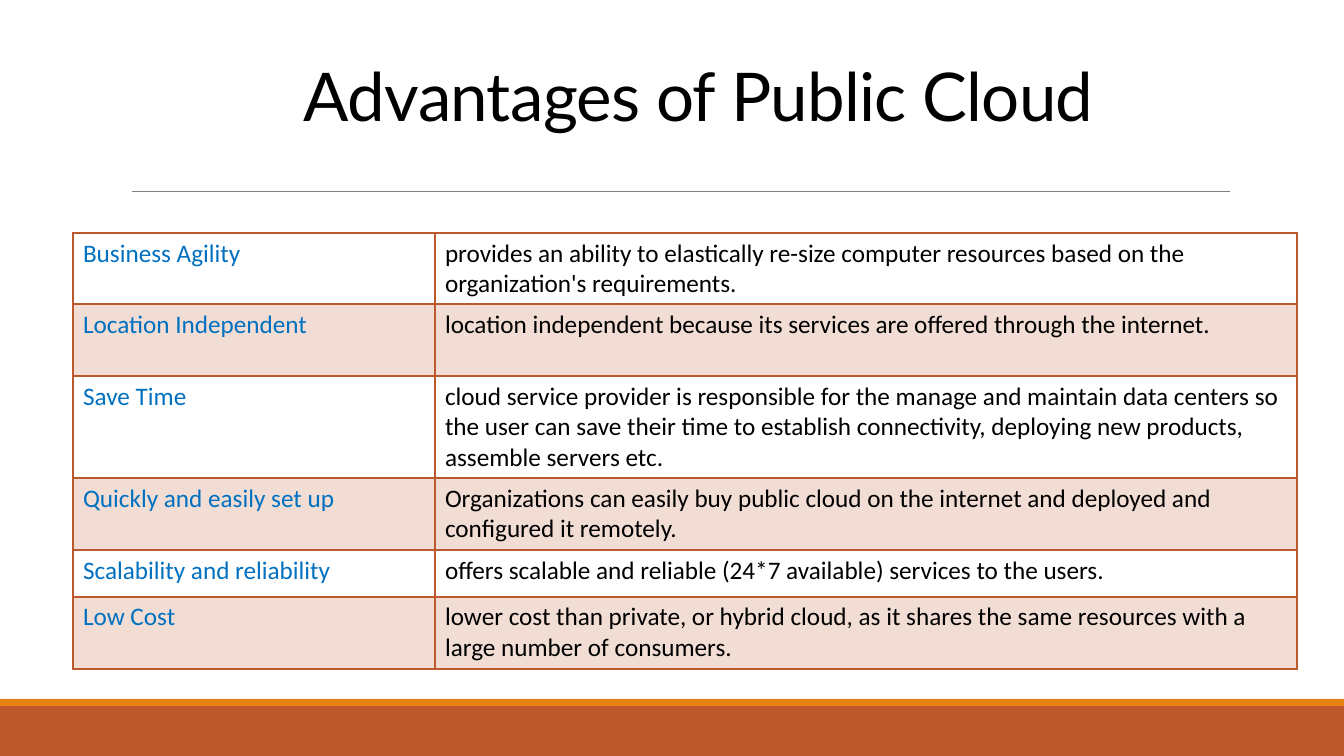
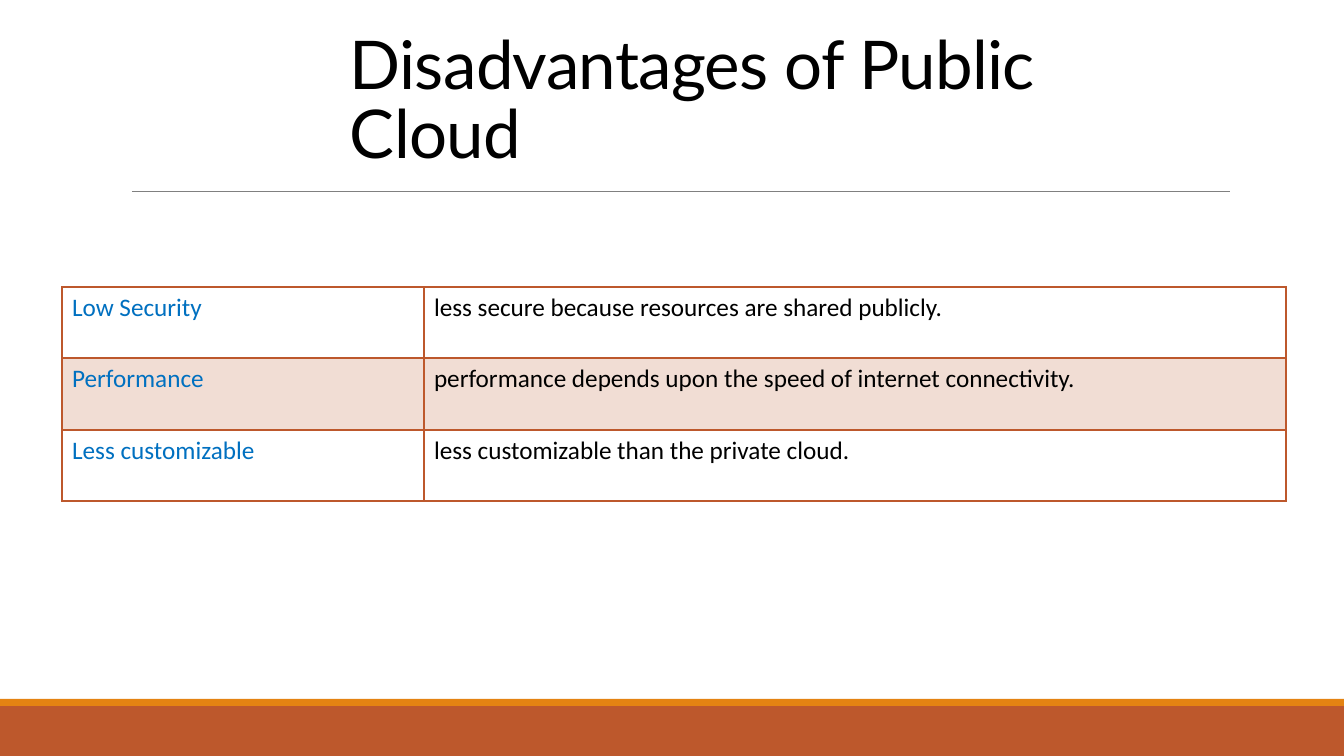
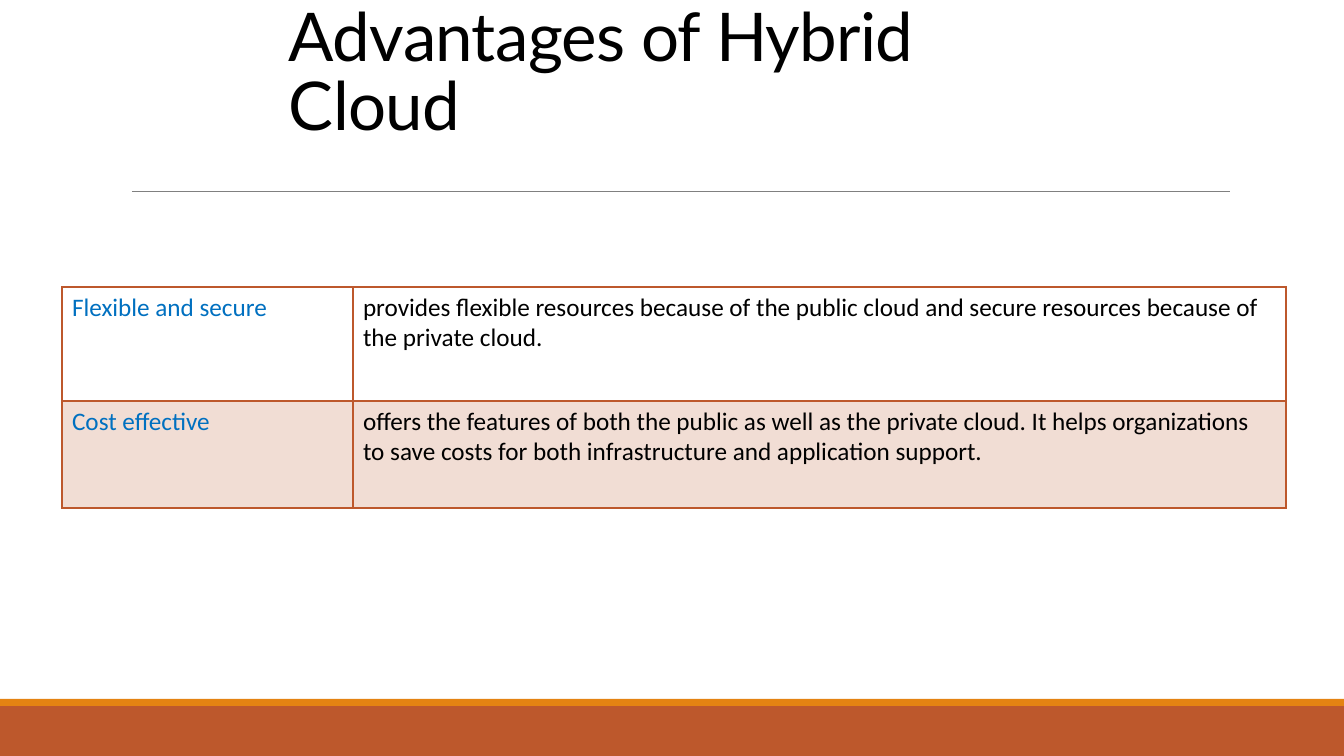
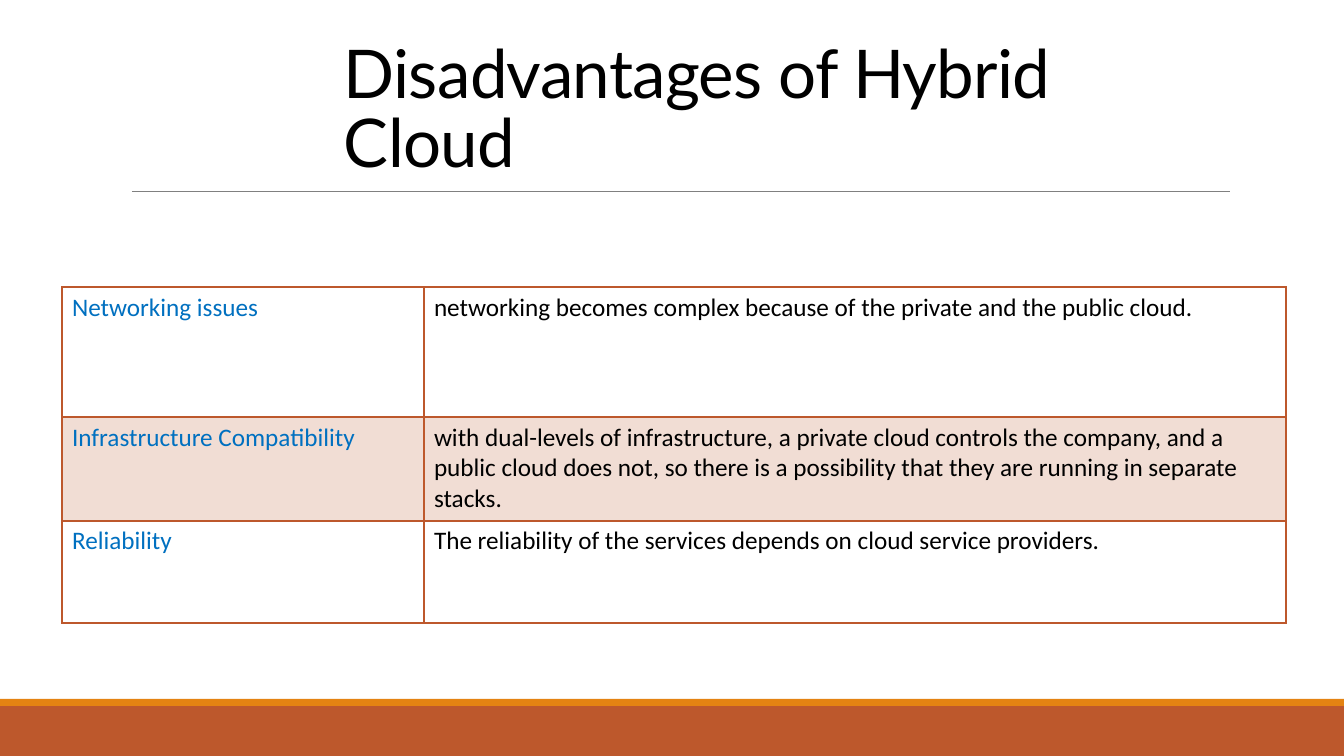
"""Build four slides on the advantages and disadvantages of public and hybrid clouds."""
import pptx
import pptx.dml.color
import pptx.enum.shapes
import pptx.enum.text
import pptx.oxml
import pptx.oxml.ns
import pptx.util
from lxml import etree

PX = 914400 / 100.8
WIDTH, HEIGHT = 1344, 756
COLORS = {
    "rust": "BD582C",
    "orange": "E48312",
    "rule": "808080",
    "term": "0070C0",
    "text": "000000",
}
TITLE_FONT, TABLE_FONT = "Lato", "Calibri"
BANDS = [("rust", 706, 50), ("orange", 699, 7)]
RULE = (132, 1230, 191)

SLIDES = [
    {
        "title": "Advantages of Public Cloud",
        "title_box": (294, 41, 907, 99),
        "table_at": (73, 233),
        "columns": (362, 862),
        "rows": [
            (71, "Business Agility", "provides an ability to elastically re-size computer resources based on the organization's requirements."),
            (72, "Location Independent", "location independent because its services are offered through the internet."),
            (102, "Save Time", "cloud service provider is responsible for the manage and maintain data centers so the user can save their time to establish connectivity, deploying new products, assemble servers etc."),
            (72, "Quickly and easily set up", "Organizations can easily buy public cloud on the internet and deployed and configured it remotely."),
            (47, "Scalability and reliability", "offers scalable and reliable (24*7 available) services to the users."),
            (72, "Low Cost", "lower cost than private, or hybrid cloud, as it shares the same resources with a large number of consumers."),
        ],
    },
    {
        "title": "Disadvantages of Public Cloud",
        "title_box": (340, 17, 766, 160),
        "table_at": (62, 287),
        "columns": (362, 862),
        "rows": [
            (71, "Low Security", "less secure because resources are shared publicly."),
            (72, "Performance", "performance depends upon the speed of internet connectivity."),
            (71, "Less customizable", "less customizable than the private cloud."),
        ],
    },
    {
        "title": "Advantages of Hybrid Cloud",
        "title_box": (279, 60, 775, 89),
        "table_at": (62, 287),
        "columns": (291, 933),
        "rows": [
            (114, "Flexible and secure", "provides flexible resources because of the public cloud and secure resources because of the private cloud."),
            (107, "Cost effective", "offers the features of both the public as well as the private cloud. It helps organizations to save costs for both infrastructure and application support."),
        ],
    },
    {
        "title": "Disadvantages of Hybrid Cloud",
        "title_box": (334, 26, 786, 160),
        "table_at": (62, 287),
        "columns": (362, 862),
        "rows": [
            (130, "Networking issues", "networking becomes complex because of the private and the public cloud."),
            (104, "Infrastructure Compatibility", "with dual-levels of infrastructure, a private cloud controls the company, and a public cloud does not, so there is a possibility that they are running in separate stacks."),
            (102, "Reliability", "The reliability of the services depends on cloud service providers."),
        ],
    },
]


def emu(*lengths):
    return [round(length * PX) for length in lengths]


def rgb(name):
    return pptx.dml.color.RGBColor.from_string(COLORS[name])


def add_run(paragraph, text, font, size, color):
    run = paragraph.add_run()
    run.text = text
    run.font.name = font
    run.font.size = pptx.util.Pt(size)
    run.font.color.rgb = rgb(color)
    return run


def add_frame(slide):
    for color, top, height in BANDS:
        band = slide.shapes.add_shape(
            pptx.enum.shapes.MSO_SHAPE.RECTANGLE, *emu(0, top, WIDTH, height)
        )
        band.shadow.inherit = False
        band.fill.solid()
        band.fill.fore_color.rgb = rgb(color)
        band.line.fill.background()
    left, right, y = RULE
    rule = slide.shapes.add_connector(
        pptx.enum.shapes.MSO_CONNECTOR.STRAIGHT, *emu(left, y, right, y)
    )
    rule.line.color.rgb = rgb("rule")
    rule.line.width = pptx.util.Pt(0.5)
    etree.SubElement(rule._element.spPr, pptx.oxml.ns.qn("a:effectLst"))


def add_title(slide, text, box):
    frame = slide.shapes.add_textbox(*emu(*box)).text_frame
    frame.word_wrap = True
    frame.vertical_anchor = pptx.enum.text.MSO_ANCHOR.BOTTOM
    paragraph = frame.paragraphs[0]
    paragraph.line_spacing = 0.85
    run = add_run(paragraph, text, TITLE_FONT, 48, "text")
    run._r.get_or_add_rPr().set("spc", "-50")


def set_borders(cell, row_index):
    properties = cell._tc.get_or_add_tcPr()
    widths = {"L": 1, "R": 1, "T": 2 if row_index == 1 else 1, "B": 2 if row_index == 0 else 1}
    for side, points in widths.items():
        properties.append(pptx.oxml.parse_xml(
            f'<a:ln{side} {pptx.oxml.ns.nsdecls("a")} w="{pptx.util.Pt(points)}">'
            f'<a:solidFill><a:srgbClr val="{COLORS["rust"]}"/></a:solidFill></a:ln{side}>'
        ))


def set_fill(cell, row_index):
    if row_index % 2 == 0:
        cell.fill.background()
        return
    cell.fill.solid()
    cell.fill.fore_color.rgb = rgb("rust")
    color = cell._tc.tcPr.find("a:solidFill/a:srgbClr", pptx.oxml.ns._nsmap)
    etree.SubElement(color, pptx.oxml.ns.qn("a:alpha")).set("val", "20000")


def add_terms(slide, at, columns, rows):
    size = sum(columns), sum(row[0] for row in rows)
    table = slide.shapes.add_table(len(rows), len(columns), *emu(*at, *size)).table
    table.first_row = table.horz_banding = False
    for column, width in zip(table.columns, emu(*columns)):
        column.width = width
    for row_index, (height, *texts) in enumerate(rows):
        table.rows[row_index].height = emu(height)[0]
        for column_index, (text, color) in enumerate(zip(texts, ("term", "text"))):
            cell = table.cell(row_index, column_index)
            set_borders(cell, row_index)
            set_fill(cell, row_index)
            add_run(cell.text_frame.paragraphs[0], text, TABLE_FONT, 18, color)


def main():
    presentation = pptx.Presentation()
    presentation.slide_width, presentation.slide_height = emu(WIDTH, HEIGHT)
    for content in SLIDES:
        slide = presentation.slides.add_slide(presentation.slide_layouts[6])
        add_frame(slide)
        add_title(slide, content["title"], content["title_box"])
        add_terms(slide, content["table_at"], content["columns"], content["rows"])
    presentation.save("out.pptx")


if __name__ == "__main__":
    main()
